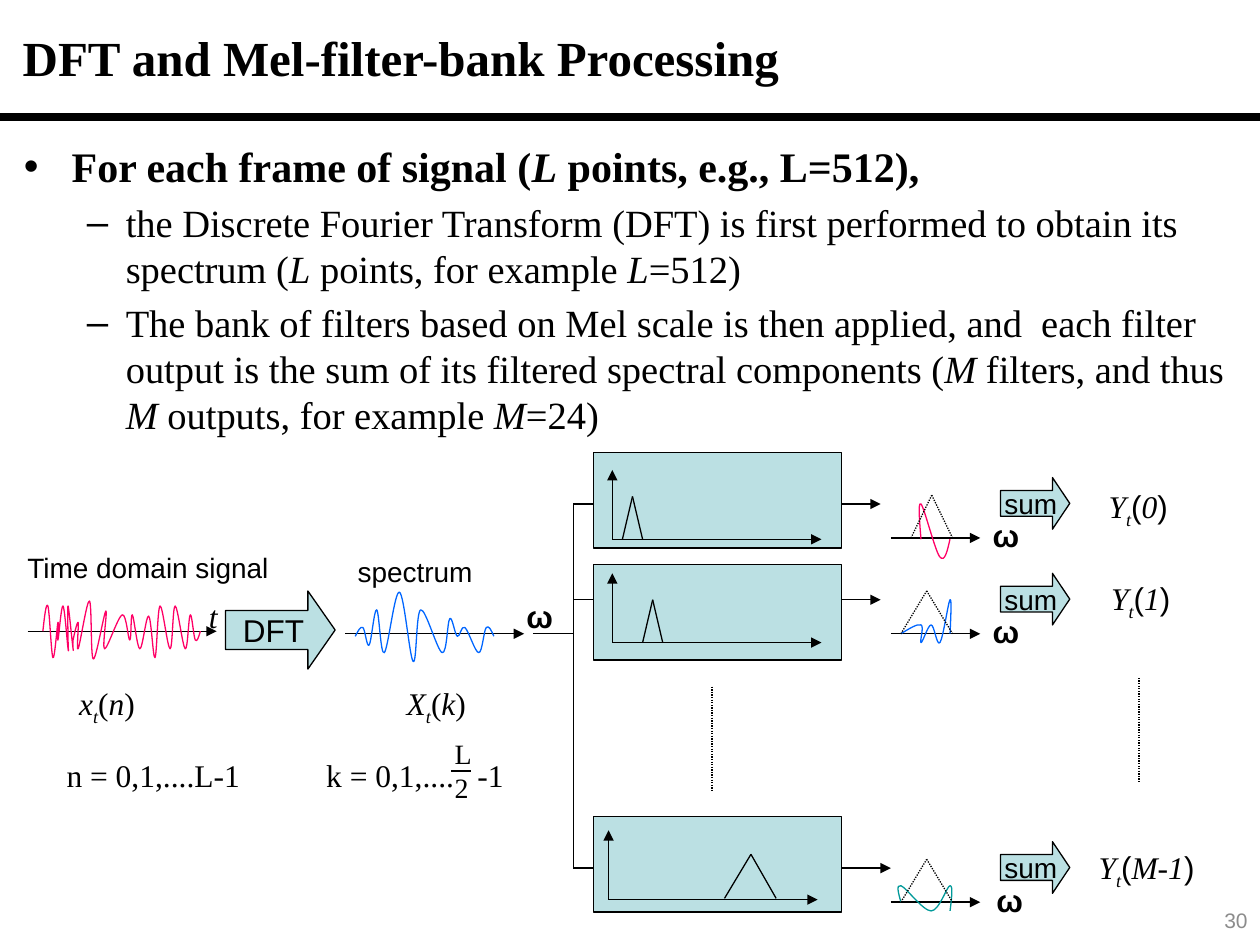
from itertools import pairwise

from pptx import Presentation
from pptx import util as u
from pptx.dml import color
from pptx.enum import dml, shapes, text
from pptx.oxml import ns, xmlchemy as xc

SERIF, SANS = "Times New Roman", "Arial"
BLACK, PALE, PINK, BLUE, TEAL = "000000", "BBE0E3", "FF0066", "0066FF", "009999"

BODY = [
    (24, "•", 0.38, -0.38, [
        ("For each frame of signal (", "b"), ("L", "bi"),
        (" points, e.g., L=512),", "b")]),
    (22, "–", 0.81, -0.31, [
        ("the Discrete Fourier Transform (DFT) is first performed to obtain its spectrum (", ""),
        ("L", "i"), (" points, for example ", ""), ("L", "i"), ("=512)", "")]),
    (22, "–", 0.81, -0.31, [
        ("The bank of filters based on Mel scale is then applied, and  each filter "
         "output is the sum of its filtered spectral components (", ""),
        ("M", "i"), (" filters, and thus ", ""), ("M", "i"),
        (" outputs, for example ", ""), ("M", "i"), ("=24)", "")]),
]

SIGNAL = [
    (0.34, 5.01), (0.38, 4.81), (0.42, 5.22), (0.46, 4.94), (0.46, 5.08),
    (0.5, 4.81), (0.54, 5.15), (0.54, 5.08), (0.54, 4.81), (0.58, 5.15),
    (0.58, 5.08), (0.62, 4.94), (0.62, 5.15), (0.71, 4.77), (0.74, 5.23),
    (0.84, 4.85), (0.83, 5.15), (0.97, 4.88), (1.03, 5.08), (1.05, 4.88),
    (1.11, 5.15), (1.18, 4.89), (1.23, 5.22), (1.27, 4.81), (1.35, 5.15),
    (1.39, 4.81), (1.47, 5.15), (1.51, 4.88), (1.55, 5.08), (1.59, 5.01)]
SPECTRUM = [
    (2.82, 5.05), (2.88, 4.98), (2.93, 5.12), (2.99, 4.84), (3.05, 5.18),
    (3.17, 4.7), (3.28, 5.25), (3.34, 4.84), (3.51, 5.18), (3.57, 4.91),
    (3.63, 5.05), (3.69, 4.98), (3.8, 5.18), (3.86, 4.98), (3.92, 5.05)]
LOW = [(7.31, 4.28), (7.31, 4), (7.46, 4.42), (7.54, 4.28)]
NEXT = [(7.15, 5.03), (7.31, 4.96), (7.31, 5.1), (7.39, 4.96), (7.46, 5.1),
        (7.54, 4.76), (7.54, 5.03)]
HIGH = [(7.15, 7.16), (7.15, 7.03), (7.39, 7.23), (7.54, 7.03), (7.54, 7.23)]


def rgb(code):
    return color.RGBColor.from_string(code)


def add_run(para, words, size, font=SERIF, style="", ink=BLACK):
    run = para.add_run()
    run.text = words
    face = run.font
    face.name, face.size = font, u.Pt(size)
    face.bold, face.italic = "b" in style, "i" in style
    face.color.rgb = rgb(ink)
    if "_" in style:
        run._r.get_or_add_rPr().set("baseline", "-25000")


def add_text(slide, x, y, w, h, runs, size=18, font=SERIF, wrap=True, tab=None):
    frame = slide.shapes.add_textbox(*map(u.Inches, (x, y, w, h))).text_frame
    frame.word_wrap = wrap
    para = frame.paragraphs[0]
    if tab:
        tabs = xc.OxmlElement("a:tabLst")
        stop = xc.OxmlElement("a:tab")
        stop.set("pos", str(u.Inches(tab)))
        stop.set("algn", "l")
        tabs.append(stop)
        para._p.get_or_add_pPr().append(tabs)
    for words, style, *face in runs:
        add_run(para, words, size, face[0] if face else font, style)
    return frame


def add_line(slide, start, end, head=False, dots=False, width=0.75):
    line = slide.shapes.add_connector(
        shapes.MSO_CONNECTOR.STRAIGHT, *map(u.Inches, (*start, *end)))
    line.line.width = u.Pt(width)
    line.line.color.rgb = rgb(BLACK)
    if dots:
        line.line.dash_style = dml.MSO_LINE.ROUND_DOT
    if head:
        tip = xc.OxmlElement("a:tailEnd")
        tip.set("type", "triangle")
        line.line._get_or_add_ln().append(tip)
    line._element.find(ns.qn("p:spPr")).append(xc.OxmlElement("a:effectLst"))


def add_peak(slide, points, dots=False):
    for start, end in pairwise(points):
        add_line(slide, start, end, dots=dots)


def bend(wave):
    knots = [(int(p.get("x")), int(p.get("y"))) for p in wave._element.iter(ns.qn("a:pt"))]
    padded = [knots[0], *knots, knots[-1]]
    lines = list(wave._element.iter(ns.qn("a:lnTo")))
    for line, a, b, c, d in zip(lines, padded, padded[1:], padded[2:], padded[3:]):
        out = [q + (r - p) / 6 for p, q, r in zip(a, b, c)]
        into = [q - (r - p) / 6 for p, q, r in zip(b, c, d)]
        if line is lines[0]:
            out = [(p + q) / 2 for p, q in zip(b, into)]
        if line is lines[-1]:
            into = [(p + q) / 2 for p, q in zip(out, c)]
        curve = xc.OxmlElement("a:cubicBezTo")
        for x, y in (out, into, c):
            point = xc.OxmlElement("a:pt")
            point.set("x", str(round(x)))
            point.set("y", str(round(y)))
            curve.append(point)
        line.getparent().replace(line, curve)


def add_wave(slide, knots, ink):
    pen = slide.shapes.build_freeform(*map(u.Inches, knots[0]))
    pen.add_line_segments([tuple(map(u.Inches, k)) for k in knots[1:]], close=False)
    wave = pen.convert_to_shape()
    bend(wave)
    wave.shadow.inherit = False
    wave.fill.background()
    wave.line.color.rgb = rgb(ink)
    wave.line.width = u.Pt(0.75)


def add_block(slide, kind, x, y, w, h):
    block = slide.shapes.add_shape(kind, *map(u.Inches, (x, y, w, h)))
    block.shadow.inherit = False
    block.fill.solid()
    block.fill.fore_color.rgb = rgb(PALE)
    block.line.color.rgb = rgb(BLACK)
    block.line.width = u.Pt(0.75)
    return block


def add_arrow(slide, x, y, w, h, tip, words, size):
    arrow = add_block(slide, shapes.MSO_SHAPE.RIGHT_ARROW, x, y, w, h)
    arrow.adjustments[0], arrow.adjustments[1] = 0.5, tip
    frame = arrow.text_frame
    frame.word_wrap = False
    frame.vertical_anchor = text.MSO_ANCHOR.MIDDLE
    frame.paragraphs[0].alignment = text.PP_ALIGN.CENTER
    add_run(frame.paragraphs[0], words, size, SANS)


def add_omega(slide, x, y):
    add_text(slide, x, y, 0.31, 0.4, [("ω", "b")], font=SANS)


def add_term(slide, x, y, w, name, index, font=SERIF):
    add_text(slide, x, y, w, 0.4, [
        (name, "i"), ("t", "i_"), ("(", "", font), (index, "i"), (")", "", font)],
        wrap=False)


def add_filter(slide, y, end, top, axis, base, peak, band, wave, ink, omega, label):
    add_line(slide, (4.55, y), (end, y), head=True)
    add_block(slide, shapes.MSO_SHAPE.RECTANGLE, 4.71, top, 1.97, 0.76)
    add_line(slide, (axis, base), (axis, base - 0.55), head=True)
    add_line(slide, (axis, base), (axis + 1.66, base), head=True)
    add_peak(slide, peak)
    out = y + 0.27
    add_line(slide, (7.07, out), (7.78, out), head=True)
    add_wave(slide, wave, ink)
    left, right = band
    add_peak(slide, [(left, out), ((left + right) / 2, y - 0.07), (right, out)], dots=True)
    add_arrow(slide, 7.94, y - 0.21, 0.55, 0.41, 0.335, "sum", 16)
    add_omega(slide, omega, y + 0.05)
    x, rise, w, index = label
    add_term(slide, x, y - rise, w, "Y", index, SANS)


def add_title(slide, words):
    title = slide.shapes.title
    title.left, title.top, title.width, title.height = map(
        u.Inches, (0.08, 0.08, 9.84, 0.75))
    title.text_frame.vertical_anchor = text.MSO_ANCHOR.MIDDLE
    para = title.text_frame.paragraphs[0]
    para.alignment = text.PP_ALIGN.LEFT
    add_run(para, words, 28, style="b")


def add_body(slide):
    frame = add_text(slide, 0.09, 1.07, 9.79, 6.06, [])
    for n, (size, mark, left, indent, runs) in enumerate(BODY):
        para = frame.add_paragraph() if n else frame.paragraphs[0]
        if n:
            para.space_before = u.Pt(0.2 * size)
        props = para._p.get_or_add_pPr()
        props.set("marL", str(u.Inches(left)))
        props.set("indent", str(u.Inches(indent)))
        face = xc.OxmlElement("a:buFont")
        face.set("typeface", SANS)
        sign = xc.OxmlElement("a:buChar")
        sign.set("char", mark)
        props.extend([face, sign])
        for words, style in runs:
            add_run(para, words, size, style=style)


def add_input(slide):
    add_line(slide, (0.22, 5.01), (1.72, 5.01), head=True)
    add_wave(slide, SIGNAL, PINK)
    add_arrow(slide, 1.79, 4.69, 0.87, 0.62, 0.349, "DFT", 18)
    add_line(slide, (2.74, 5.03), (4.16, 5.03), head=True)
    add_wave(slide, SPECTRUM, BLUE)
    add_text(slide, 1.56, 4.69, 0.31, 0.4, [("t", "i")])
    add_omega(slide, 4.08, 4.69)
    for x, y, w, words in [(0.12, 4.32, 2.13, "Time domain signal"),
                           (2.74, 4.35, 1.12, "spectrum")]:
        add_text(slide, x, y, w, 0.37, [(words, "")], 16, SANS, wrap=False)
    add_term(slide, 0.53, 5.38, 0.65, "x", "n")
    add_term(slide, 3.13, 5.38, 0.7, "X", "k")
    add_text(slide, 0.43, 5.95, 1.73, 0.4, [("n = 0,1,....L-1", "")])
    add_text(slide, 2.49, 5.95, 1.65, 0.4, [("k = 0,1,....\t-1", "")], tab=1.2)
    for y, words in [(5.8, "L"), (6.07, "2")]:
        add_text(slide, 3.51, y, 0.39, 0.37, [(words, "")], 16)
    add_line(slide, (3.58, 6.12), (3.74, 6.12))


def add_bank(slide):
    add_line(slide, (4.23, 5.03), (4.55, 5.03))
    add_line(slide, (4.55, 4), (4.55, 6.89))
    add_filter(slide, 4, 6.99, 3.59, 4.86, 4.28,
               [(4.94, 4.28), (5.02, 3.94), (5.1, 4.28)], (7.23, 7.56),
               LOW, PINK, 7.78, (8.7, 0.18, 0.68, "0"))
    add_filter(slide, 4.76, 6.99, 4.48, 4.86, 5.1,
               [(5.1, 5.1), (5.18, 4.76), (5.26, 5.1)], (7.15, 7.56),
               NEXT, BLUE, 7.78, (8.72, 0.21, 0.68, "1"))
    add_filter(slide, 6.89, 7.07, 6.48, 4.83, 7.14,
               [(5.75, 7.13), (5.96, 6.78), (6.16, 7.13)], (7.15, 7.56),
               HIGH, TEAL, 7.81, (8.62, 0.21, 0.98, "M-1"))
    for x, y in [(5.65, 5.45), (9.04, 5.38)]:
        add_line(slide, (x, y), (x, y + 0.82), dots=True)


def main():
    deck = Presentation()
    deck.slide_width, deck.slide_height = u.Inches(10), u.Inches(7.5)
    slide = deck.slides.add_slide(deck.slide_layouts[5])
    add_line(slide, (0, 0.93), (10, 0.93), width=4.5)
    add_title(slide, "DFT and Mel-filter-bank Processing")
    add_body(slide)
    add_input(slide)
    add_bank(slide)
    page = add_text(slide, 7.75, 7.1, 2.25, 0.4, [])
    page.vertical_anchor = text.MSO_ANCHOR.MIDDLE
    page.paragraphs[0].alignment = text.PP_ALIGN.RIGHT
    add_run(page.paragraphs[0], "30", 12, SANS, ink="8C8C8C")
    deck.save("out.pptx")


if __name__ == "__main__":
    main()
